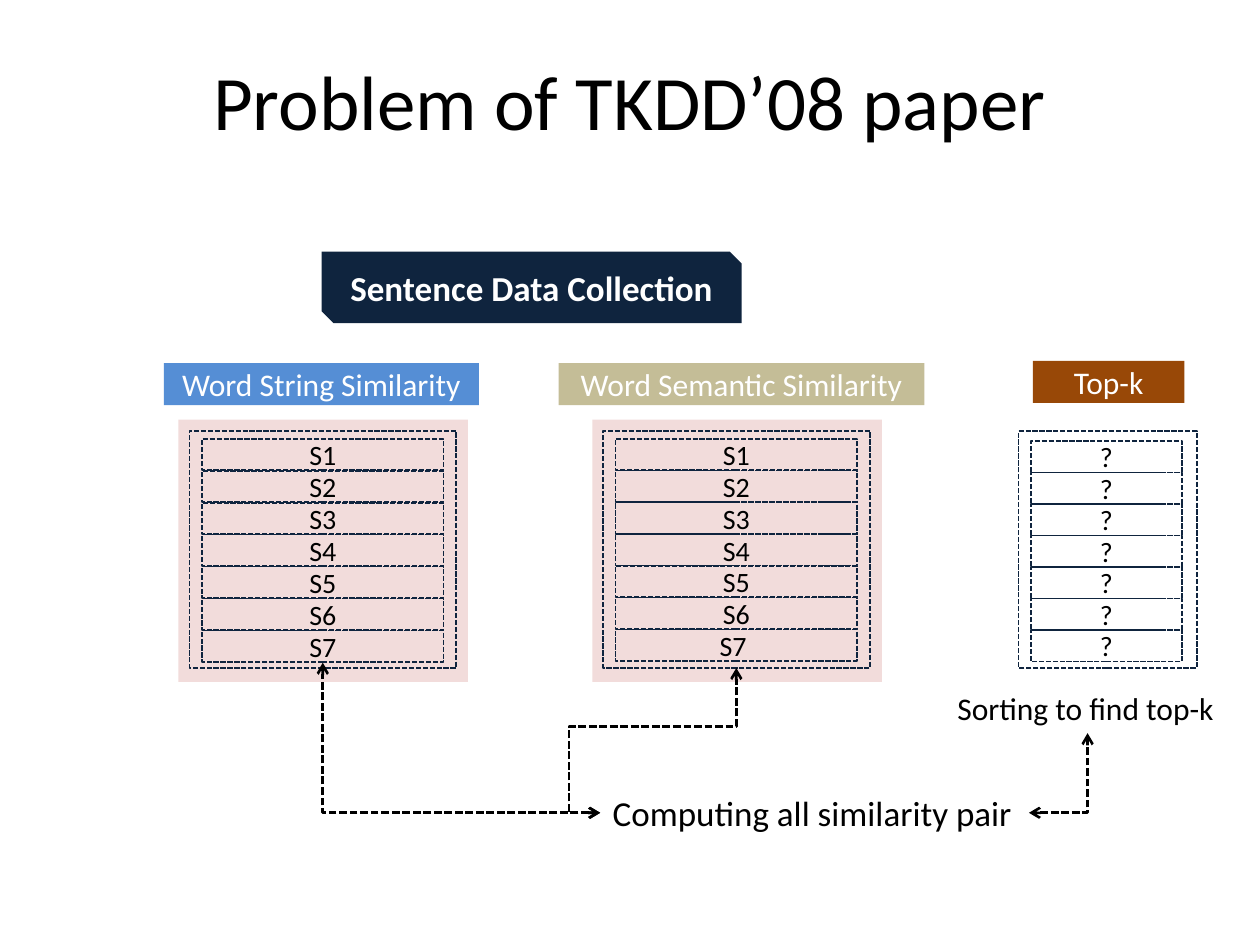
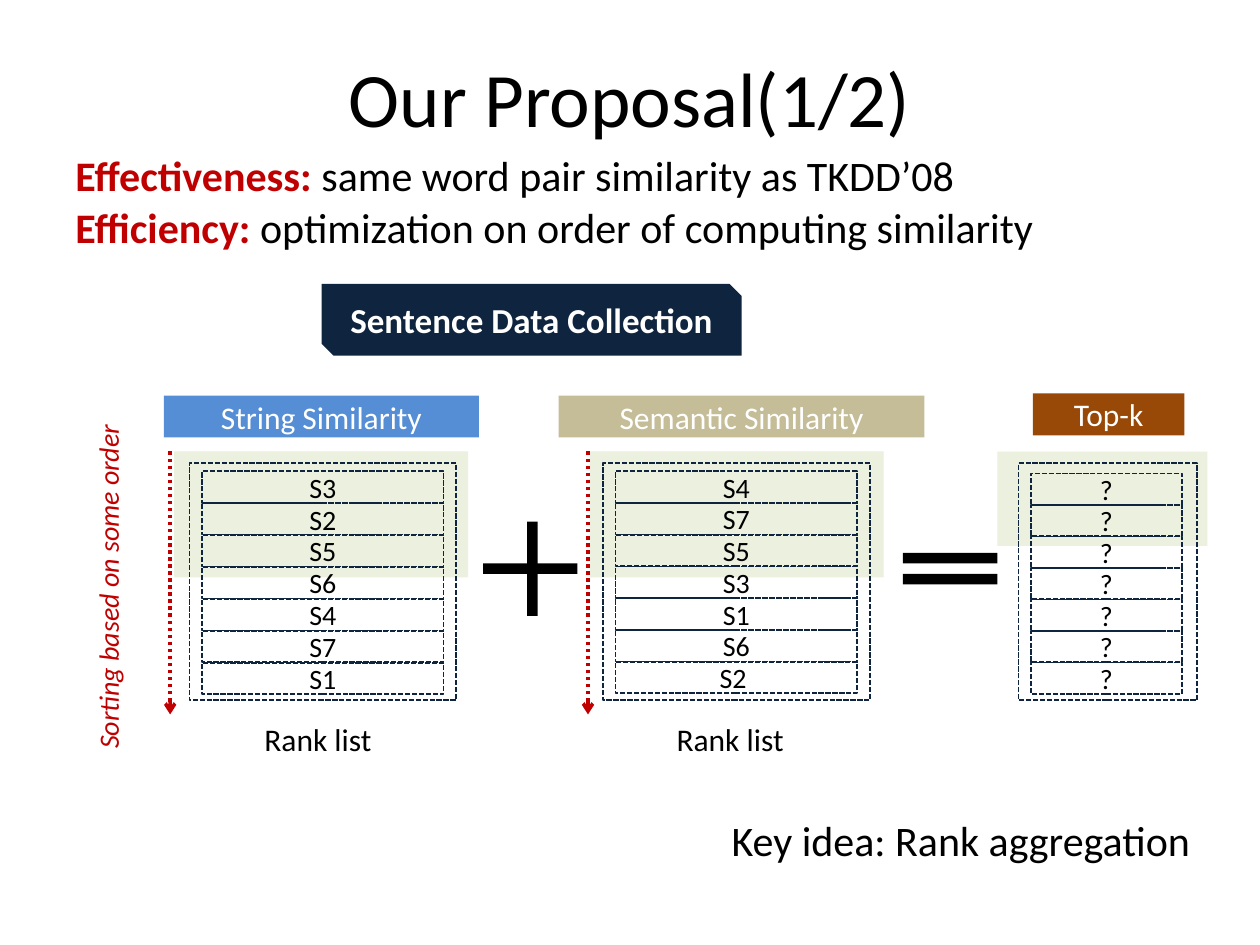
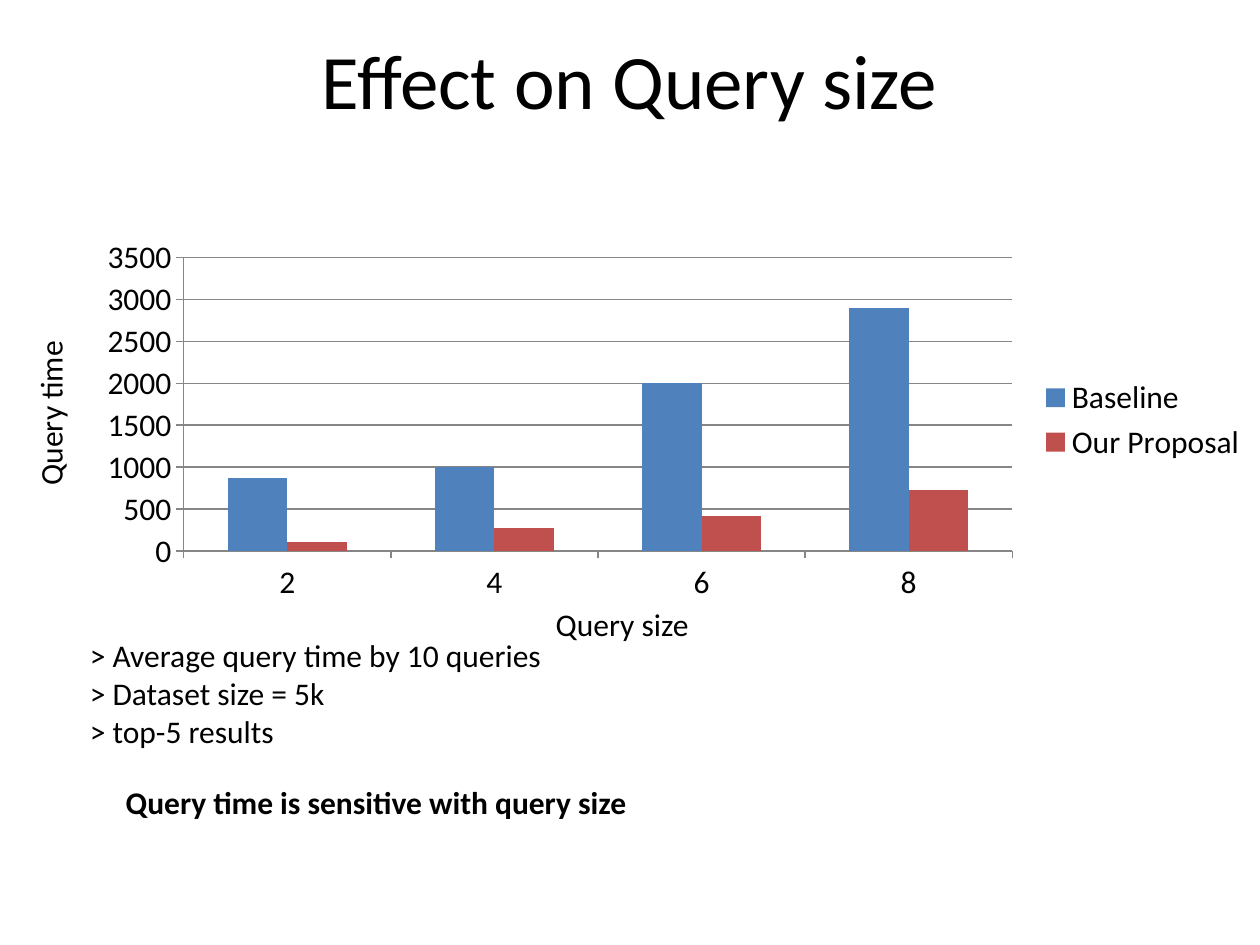
from lxml.etree import SubElement
from pptx import Presentation
from pptx.chart.data import CategoryChartData
from pptx.dml.color import RGBColor
from pptx.enum.chart import XL_CHART_TYPE, XL_LEGEND_POSITION, XL_TICK_MARK
from pptx.enum.dml import MSO_LINE
from pptx.enum.shapes import MSO_CONNECTOR, MSO_SHAPE
from pptx.enum.text import MSO_ANCHOR, MSO_AUTO_SIZE, PP_ALIGN
from pptx.oxml.ns import qn
from pptx.util import Pt

FONT = "Calibri"
COLORS = {
    "black": "000000", "white": "FFFFFF", "navy": "0F243E", "blue": "558ED5",
    "tan": "C4BD97", "brown": "984807", "pink": "F2DCDB", "green": "EBF1DE",
    "red": "C00000", "baseline": "4F81BD", "proposal": "C0504D", "grid": "868686",
}
LISTS = {
    "string": {"header": (93.75, -38.75, 180, "blue"), "frame": (108.25, 152.5),
               "row": (115.5, 138), "first_row": 4.5, "pitch": 18.25},
    "semantic": {"header": (319.25, -38.75, 209, "tan"), "frame": (344.75, 152.5),
                 "row": (351.75, 138), "first_row": 4.5, "pitch": 18.15},
    "top": {"header": (590.25, -40, 86.5, "brown"), "frame": (582, 102),
            "row": (589, 86.5), "first_row": 5.75, "pitch": 18},
}
UNKNOWN = ["?"] * 7

PROBLEM = {
    "title": ("Problem of TKDD’08 paper", 12),
    "frame_top": 246.25,
    "panels": [(338.5, 239.75, 165.5, 150, "pink"), (102, 239.75, 165.5, 150, "pink")],
    "lists": [
        ("string", "Word String Similarity", ["S1", "S2", "S3", "S4", "S5", "S6", "S7"]),
        ("semantic", "Word Semantic Similarity", ["S1", "S2", "S3", "S4", "S5", "S6", "S7 "]),
        ("top", "Top-k", UNKNOWN),
    ],
    "labels": [
        ((343, 448.5, 245, 31.5), "Computing all similarity pair", {"size": 20}),
        ((540, 390.25, 162.75, 29), "Sorting to find top-k", {}),
    ],
}
PAIR_ARROWS = [
    ((588, 464.5), (621.5, 419), "bentConnector2", {}),
    ((343, 464.5), (184.5, 378.75), "bentConnector2", {}),
    ((343, 464.5), (420.75, 381.75), "bentConnector4", {"adj1": -23100, "adj2": 59500}),
]

PROPOSAL = {
    "title": ("Our Proposal(1/2)", 10),
    "frame_top": 264.75,
    "panels": [
        (570, 258, 120, 54, "green"),
        (337, 258, 168, 72, "green"),
        (99.5, 258, 168, 72, "green"),
    ],
    "lists": [
        ("string", "String Similarity", ["S3", "S2", "S5", "S6", "S4", "S7", "S1"]),
        ("semantic", "Semantic Similarity", ["S4", "S7", "S5", "S3", "S1", "S6", "S2 "]),
        ("top", "Top-k", UNKNOWN),
    ],
    "labels": [
        ((36, 82, 520.5, 36.25), " same word pair similarity as TKDD’08",
         {"size": 24, "lead": "Effectiveness:"}),
        ((36, 111.75, 568, 36.25), " optimization on order of computing similarity",
         {"size": 24, "lead": "Efficiency:"}),
        ((-39.5, 322, 202.25, 26.5), "Sorting based on some order",
         {"size": 16, "color": "red", "italic": True, "align": PP_ALIGN.CENTER, "rotation": 270}),
        ((144, 408, 76.5, 29), "Rank list", {}),
        ((379.5, 408, 76.5, 29), "Rank list", {}),
        ((411, 461.75, 279.25, 36.25), "Key idea: Rank aggregation", {"size": 24}),
    ],
}
ORDER_ARROWS = [97.25, 336]
OPERATOR_BARS = [(276, 322, 0), (277.25, 322, 90), (516, 316, 0), (516, 328, 0)]

QUERY_TITLE = ("Effect on Query size", 0)
QUERY_SIZES = ["2", "4", "6", "8"]
QUERY_TIMES = [
    ("Baseline", [870, 1000, 2000, 2900], "baseline"),
    ("Our Proposal", [110, 270, 420, 730], "proposal"),
]
QUERY_LABELS = [
    ((44.25, 360, 275.75, 72.75),
     "> Average query time by 10 queries\n> Dataset size = 5k\n> top-5 results", {}),
    ((-20.25, 221, 98, 29), "Query time", {"rotation": 270}),
    ((310.5, 342, 91.5, 29), "Query size", {}),
    ((64.75, 444, 303, 29), "Query time is sensitive with query size", {"bold": True}),
]


def rgb(name):
    return RGBColor.from_string(COLORS[name])


def style(font, size, color, bold=False, italic=False):
    font.name, font.size, font.bold, font.italic = FONT, Pt(size), bold, italic
    font.color.rgb = rgb(color)


def write(shape, text, size=18, color="black", bold=False, italic=False,
          align=PP_ALIGN.LEFT, lead=None):
    text_frame = shape.text_frame
    text_frame.text = lead or text
    for paragraph in text_frame.paragraphs:
        paragraph.alignment = align
        for run in paragraph.runs:
            style(run.font, size, "red" if lead else color, bold or bool(lead), italic)
    if lead:
        run = text_frame.paragraphs[0].add_run()
        run.text = text
        style(run.font, size, color)


def add_label(slide, box, text, rotation=0, **options):
    shape = slide.shapes.add_textbox(*map(Pt, box))
    shape.rotation = rotation
    shape.text_frame.word_wrap = False
    shape.text_frame.auto_size = MSO_AUTO_SIZE.SHAPE_TO_FIT_TEXT
    write(shape, text, **options)


def add_box(slide, box, fill=None, text=None, preset=MSO_SHAPE.RECTANGLE, **options):
    shape = slide.shapes.add_shape(preset, *map(Pt, box))
    shape.shadow.inherit = False
    if fill:
        shape.fill.solid()
        shape.fill.fore_color.rgb = rgb(fill)
        shape.line.fill.background()
    else:
        shape.fill.background()
        shape.line.color.rgb = rgb("navy")
        shape.line.width = Pt(1)
        shape.line.dash_style = MSO_LINE.SQUARE_DOT
    if text:
        shape.text_frame.vertical_anchor = MSO_ANCHOR.MIDDLE
        write(shape, text, align=PP_ALIGN.CENTER, **options)
    return shape


def add_arrow(slide, kind, start, end, color, width, dash, ends):
    connector = slide.shapes.add_connector(kind, *map(Pt, start + end))
    connector.line.color.rgb = rgb(color)
    connector.line.width = Pt(width)
    connector.line.dash_style = dash
    properties = connector._element.spPr
    for name in ends:
        SubElement(properties.find(qn("a:ln")), qn(name), type="arrow")
    SubElement(properties, qn("a:effectLst"))
    return connector


def bend(connector, preset, adjustments):
    geometry = connector._element.spPr.find(qn("a:prstGeom"))
    geometry.set("prst", preset)
    guides = geometry.find(qn("a:avLst"))
    if guides is None:
        guides = SubElement(geometry, qn("a:avLst"))
    for name, value in adjustments.items():
        SubElement(guides, qn("a:gd"), name=name, fmla=f"val {value}")


def add_slide(presentation, title, top):
    slide = presentation.slides.add_slide(presentation.slide_layouts[6])
    shape = slide.shapes.add_textbox(Pt(36), Pt(top), Pt(648), Pt(90))
    shape.text_frame.word_wrap = True
    shape.text_frame.vertical_anchor = MSO_ANCHOR.MIDDLE
    write(shape, title, size=44, align=PP_ALIGN.CENTER)
    return slide


def add_list(slide, place, header, rows, frame_top):
    layout = LISTS[place]
    header_left, header_offset, header_width, fill = layout["header"]
    frame_left, frame_width = layout["frame"]
    row_left, row_width = layout["row"]
    add_box(slide, (header_left, frame_top + header_offset, header_width, 24), fill, header,
            color="white")
    add_box(slide, (frame_left, frame_top, frame_width, 135.5))
    for index, text in enumerate(rows):
        row_top = frame_top + layout["first_row"] + index * layout["pitch"]
        add_box(slide, (row_left, row_top, row_width, 18), text=text, size=16)


def add_diagram(presentation, content):
    slide = add_slide(presentation, *content["title"])
    for *box, fill in content["panels"]:
        add_box(slide, box, fill)
    for place, header, rows in content["lists"]:
        add_list(slide, place, header, rows, content["frame_top"])
    add_box(slide, (183.75, content["frame_top"] - 102.5, 240, 41), "navy",
            "Sentence Data Collection", MSO_SHAPE.SNIP_2_DIAG_RECTANGLE,
            size=20, color="white", bold=True)
    for box, text, options in content["labels"]:
        add_label(slide, box, text, **options)
    return slide


def add_query_chart(slide):
    data = CategoryChartData()
    data.categories = QUERY_SIZES
    for name, values, color in QUERY_TIMES:
        data.add_series(name, values)
    chart = slide.shapes.add_chart(XL_CHART_TYPE.COLUMN_CLUSTERED, Pt(48), Pt(132),
                                   Pt(672), Pt(216), data).chart
    style(chart.font, 18, "black")
    chart.has_title = False
    chart.has_legend = True
    chart.legend.position = XL_LEGEND_POSITION.RIGHT
    chart.legend.include_in_layout = False
    plot = chart.plots[0]
    plot.gap_width, plot.overlap, plot.vary_by_categories = 150, 0, False
    for series, (name, values, color) in zip(plot.series, QUERY_TIMES):
        series.format.fill.solid()
        series.format.fill.fore_color.rgb = rgb(color)
    value_axis = chart.value_axis
    value_axis.minimum_scale, value_axis.maximum_scale, value_axis.major_unit = 0, 3500, 500
    value_axis.has_major_gridlines = True
    for axis in (chart.category_axis, value_axis):
        axis.major_tick_mark = XL_TICK_MARK.OUTSIDE
        axis.format.line.color.rgb = rgb("grid")
    value_axis.major_gridlines.format.line.color.rgb = rgb("grid")


def main():
    presentation = Presentation()
    presentation.slide_width, presentation.slide_height = Pt(720), Pt(540)

    slide = add_diagram(presentation, PROBLEM)
    for start, end, preset, adjustments in PAIR_ARROWS:
        connector = add_arrow(slide, MSO_CONNECTOR.ELBOW, start, end, "black", 1.5,
                              MSO_LINE.SQUARE_DOT, ("a:headEnd", "a:tailEnd"))
        bend(connector, preset, adjustments)

    slide = add_diagram(presentation, PROPOSAL)
    for left in ORDER_ARROWS:
        add_arrow(slide, MSO_CONNECTOR.STRAIGHT, (left, 258), (left, 408.25), "red", 2,
                  MSO_LINE.ROUND_DOT, ("a:tailEnd",))
    for left, top, rotation in OPERATOR_BARS:
        add_box(slide, (left, top, 54, 6), "black").rotation = rotation

    slide = add_slide(presentation, *QUERY_TITLE)
    add_query_chart(slide)
    for box, text, options in QUERY_LABELS:
        add_label(slide, box, text, **options)

    presentation.save("out.pptx")


if __name__ == "__main__":
    main()
